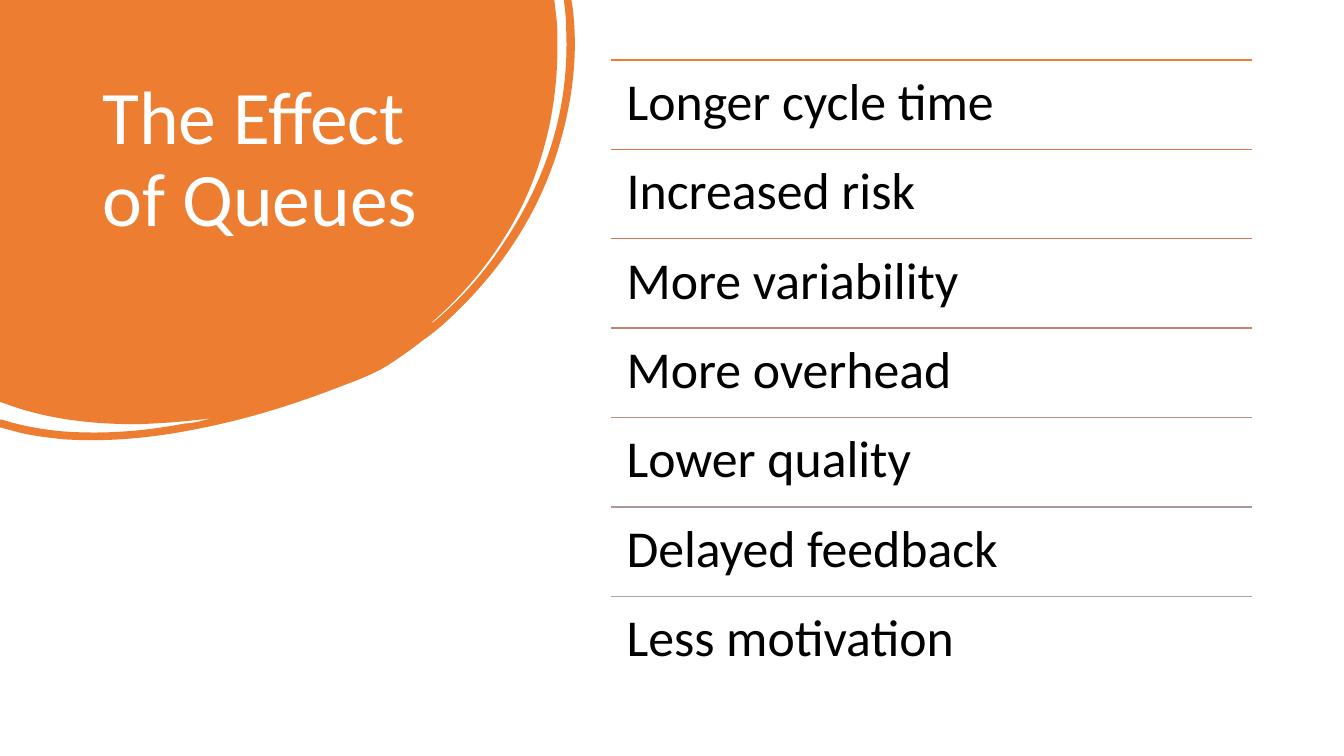
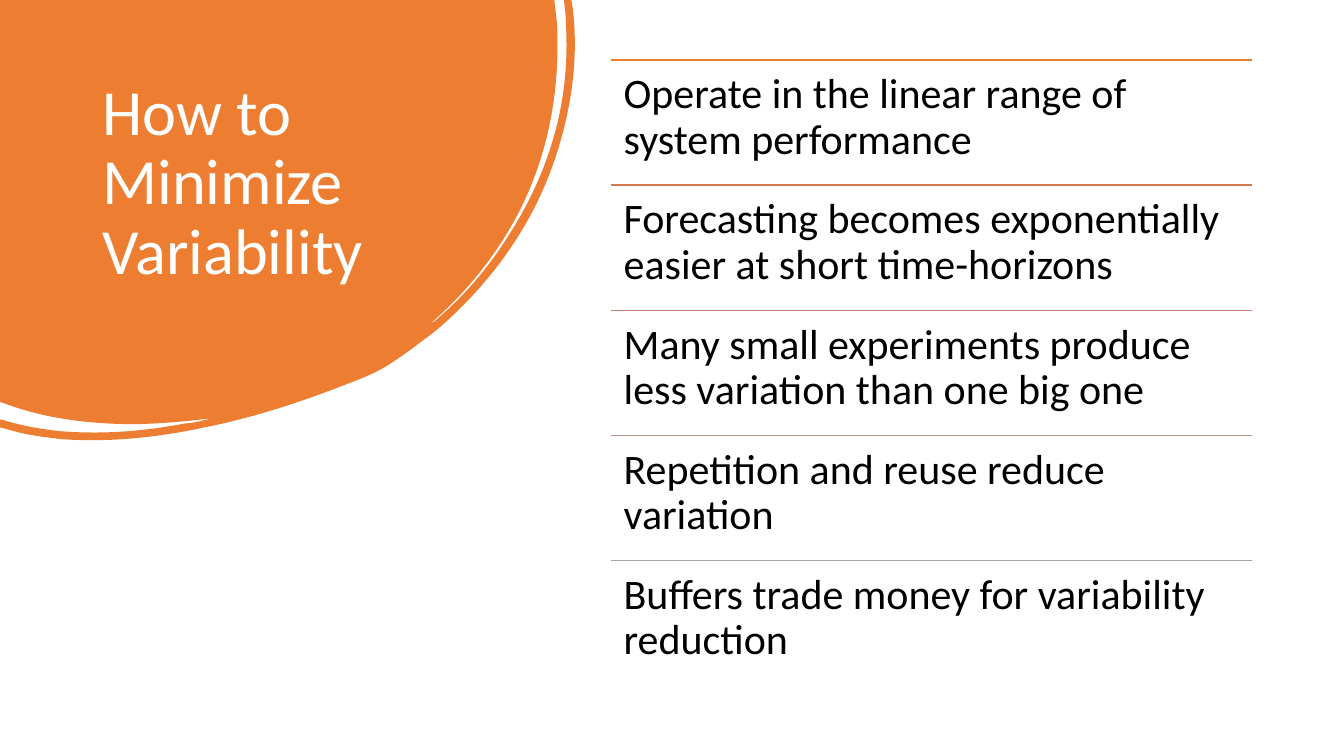
"""Build two slides with a rounded title corner and a ruled list of points."""
from colorsys import hls_to_rgb, rgb_to_hls
from dataclasses import dataclass

from lxml import etree
from pptx import Presentation
from pptx.dml.color import RGBColor
from pptx.enum.shapes import MSO_CONNECTOR
from pptx.enum.text import MSO_ANCHOR, PP_ALIGN
from pptx.oxml.ns import qn
from pptx.util import Cm, Pt

STRAIGHT = MSO_CONNECTOR.STRAIGHT
TOP = MSO_ANCHOR.TOP
LEFT = PP_ALIGN.LEFT
BLANK_LAYOUT = 6


@dataclass(frozen=True)
class Theme:
    font: str = "Calibri"
    accent: RGBColor = RGBColor(0xED, 0x7D, 0x31)
    muted: RGBColor = RGBColor(0xA5, 0xA5, 0xA5)
    title_color: RGBColor = RGBColor(0xFF, 0xFF, 0xFF)
    body_color: RGBColor = RGBColor(0x00, 0x00, 0x00)
    long_title: Pt = Pt(46)
    short_title: Pt = Pt(54)
    long_point: Pt = Pt(30)
    short_point: Pt = Pt(37)
    rule_width: Pt = Pt(1)
    line_spacing: float = 0.9
    inset_ratio: float = 0.3


THEME = Theme()

TITLE_BOX = (Cm(2.33), Cm(1.87), Cm(8.94), Cm(5.64))
TITLE_MARGINS = (Cm(0.25), Cm(0.13))
LIST_LEFT, LIST_TOP = Cm(15.4), Cm(1.51)
LIST_WIDTH, LIST_HEIGHT = Cm(16.15), Cm(15.77)

CORNER_OUTLINE = [
    [(13.97, 0)],
    [(14.02, 0.43)],
    [(14.05, 0.66), (14.05, 0.91), (14.05, 1.14)],
    [(14.05, 2.57), (13.77, 3.91), (13.16, 5.18)],
    [(12.6, 6.32), (11.81, 7.32), (10.85, 8.15)],
    [(10.9, 8.15), (10.92, 8.1), (10.97, 8.08)],
    [(11.66, 7.49), (12.24, 6.83), (12.73, 6.07)],
    [(13.79, 4.47), (14.35, 2.72), (14.27, 0.76)],
    [(14.27, 0.53), (14.25, 0.3), (14.22, 0.08)],
    [(14.22, 0)],
    [(14.4, 0)],
    [(14.43, 0.18)],
    [(14.58, 1.37), (14.43, 2.59), (14.05, 3.81)],
    [(13.54, 5.44), (12.62, 6.81), (11.38, 7.98)],
    [(11.15, 8.2), (10.9, 8.41), (10.64, 8.59)],
    [(10.39, 8.79), (10.13, 8.97), (9.83, 9.17)],
    [(9.53, 9.37), (9.14, 9.53), (8.74, 9.68)],
    [(7.59, 10.13), (6.4, 10.52), (5.16, 10.77)],
    [(3.99, 11.02), (2.79, 11.15), (1.6, 11.07)],
    [(1.14, 11.02), (0.71, 10.97), (0.3, 10.85)],
    [(0, 10.77)],
    [(0, 10.57)],
    [(0.1, 10.59)],
    [(0.58, 10.74), (1.07, 10.82), (1.55, 10.87)],
    [(2.62, 10.95), (3.63, 10.87), (4.67, 10.67)],
    [(4.8, 10.67), (4.9, 10.64), (5.03, 10.62)],
    [(5.13, 10.59), (5.23, 10.57), (5.33, 10.54)],
    [(4.72, 10.62), (4.09, 10.67), (3.45, 10.69)],
    [(2.34, 10.69), (1.22, 10.57), (0.18, 10.19)],
    [(0, 10.13)],
]

SLIDES = [
    ("The Effect of Queues", THEME.short_title, THEME.short_point, [
        "Longer cycle time",
        "Increased risk",
        "More variability",
        "More overhead",
        "Lower quality",
        "Delayed feedback",
        "Less motivation",
    ]),
    ("How to Minimize Variability", THEME.long_title, THEME.long_point, [
        "Operate in the linear range of system performance",
        "Forecasting becomes exponentially easier at short time-horizons",
        "Many small experiments produce less variation than one big one",
        "Repetition and reuse reduce variation",
        "Buffers trade money for variability reduction",
    ]),
]


def blend(start, end, share):
    """Return the colour at a share of the way between two in hue, lightness and saturation."""
    first, last = (rgb_to_hls(*(value / 255 for value in color)) for color in (start, end))
    mixed = (a + (b - a) * share for a, b in zip(first, last))
    return RGBColor(*(round(value * 255) for value in hls_to_rgb(*mixed)))


def bend_segments(shape, segments):
    """Turn the straight segments that have control points into cubic curves."""
    lines = list(shape._element.iter(qn("a:lnTo")))
    for line, segment in zip(lines, segments):
        if len(segment) == 3:
            line.tag = qn("a:cubicBezTo")
            for index, (x, y) in enumerate(segment[:-1]):
                point = etree.Element(qn("a:pt"), x=str(Cm(x)), y=str(Cm(y)))
                line.insert(index, point)


def add_corner(slide):
    """Draw the rounded corner behind the title."""
    builder = slide.shapes.build_freeform(0, 0)
    ends = [(Cm(x), Cm(y)) for x, y in (segment[-1] for segment in CORNER_OUTLINE)]
    builder.add_line_segments(ends, close=True)
    shape = builder.convert_to_shape()
    bend_segments(shape, CORNER_OUTLINE)
    shape.shadow.inherit = False
    shape.fill.solid()
    shape.fill.fore_color.rgb = THEME.accent
    shape.line.fill.background()


def add_text(slide, text, box, margins, size, color):
    """Add a wrapped text box with one paragraph."""
    text_frame = slide.shapes.add_textbox(*box).text_frame
    text_frame.word_wrap = True
    text_frame.vertical_anchor = TOP
    text_frame.margin_left = text_frame.margin_right = margins[0]
    text_frame.margin_top = text_frame.margin_bottom = margins[1]
    text_frame.text = text
    paragraph = text_frame.paragraphs[0]
    paragraph.alignment = LEFT
    paragraph.line_spacing = THEME.line_spacing
    font = paragraph.runs[0].font
    font.name = THEME.font
    font.size = size
    font.color.rgb = color


def add_rule(slide, top, color):
    """Draw a thin line across the list."""
    rule = slide.shapes.add_connector(STRAIGHT, LIST_LEFT, top, LIST_LEFT + LIST_WIDTH, top)
    rule.line.color.rgb = color
    rule.line.width = THEME.rule_width
    etree.SubElement(rule._element.spPr, qn("a:effectLst"))


def add_ruled_list(slide, points, size):
    """Stack the points in equal rows, each under its own rule."""
    row_height = LIST_HEIGHT // len(points)
    inset = int(size * THEME.inset_ratio)
    for index, point in enumerate(points):
        top = LIST_TOP + index * row_height
        add_rule(slide, top, blend(THEME.accent, THEME.muted, index / (len(points) - 1)))
        box = (LIST_LEFT, top, LIST_WIDTH, row_height)
        add_text(slide, point, box, (inset, inset), size, THEME.body_color)


def main():
    """Build and save the presentation."""
    presentation = Presentation()
    presentation.slide_width, presentation.slide_height = Cm(33.87), Cm(19.05)
    for title, title_size, point_size, points in SLIDES:
        slide = presentation.slides.add_slide(presentation.slide_layouts[BLANK_LAYOUT])
        add_corner(slide)
        add_text(slide, title, TITLE_BOX, TITLE_MARGINS, title_size, THEME.title_color)
        add_ruled_list(slide, points, point_size)
    presentation.save("out.pptx")


if __name__ == "__main__":
    main()
